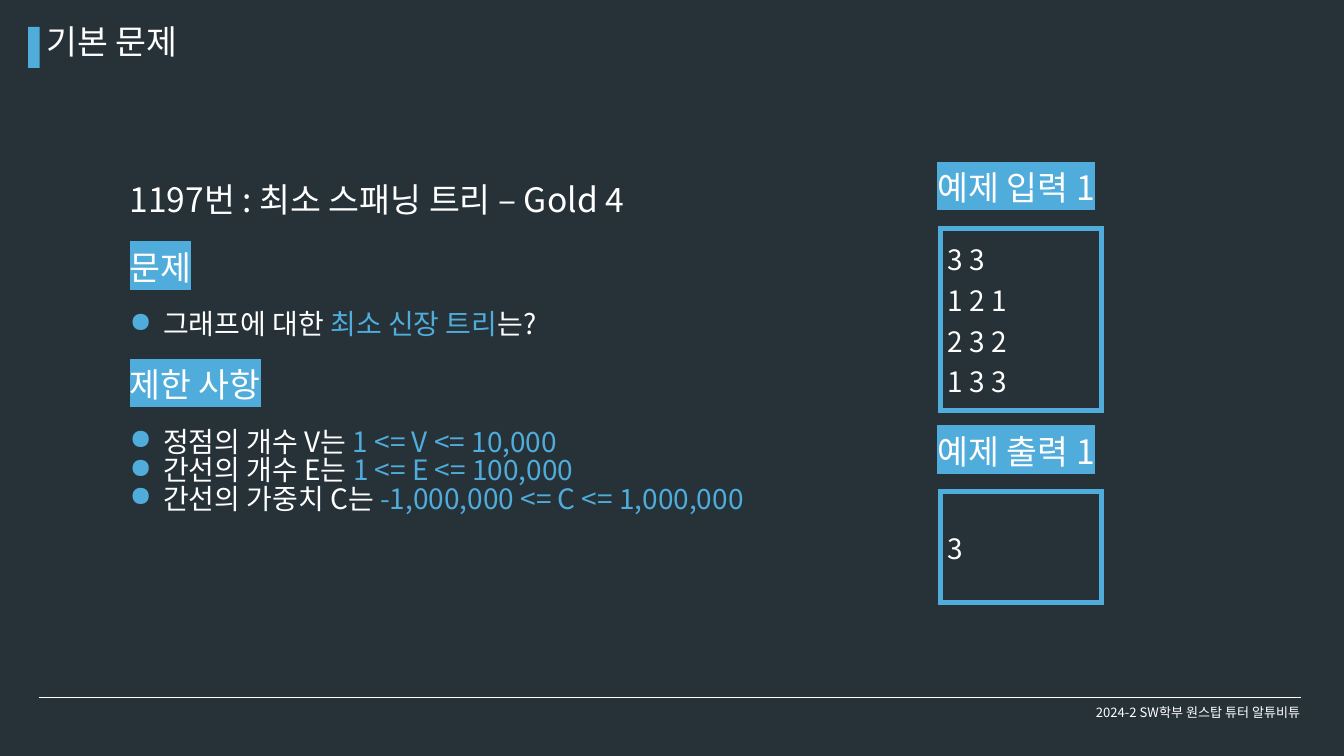
from dataclasses import dataclass

from lxml.etree import SubElement
from pptx import Presentation
from pptx.dml.color import RGBColor
from pptx.enum.shapes import MSO_CONNECTOR, MSO_SHAPE
from pptx.enum.text import MSO_ANCHOR, MSO_AUTO_SIZE, PP_ALIGN
from pptx.oxml.ns import qn
from pptx.util import Inches, Pt


@dataclass(frozen=True)
class Theme:
    font: str = "Noto Sans CJK KR"
    background: str = "263238"
    accent: str = "4FACDB"
    text: str = "FFFFFF"
    heading: int = 36
    body: int = 30
    footer: int = 14
    line_spacing: float = 0.85
    frame_width: int = 6


THEME = Theme()


def rgb(value):
    return RGBColor.from_string(value)


def add_color(parent, value):
    SubElement(parent, qn("a:srgbClr"), val=value)


def add_bullet(para):
    props = para._p.get_or_add_pPr()
    props.set("marL", str(Inches(0.5)))
    props.set("indent", str(Inches(-0.5)))
    add_color(SubElement(props, qn("a:buClr")), THEME.accent)
    SubElement(props, qn("a:buChar"), char="●")


def write_para(para, spans, size, bullet=False, highlight=False, spacing=None):
    """Fill a paragraph with (text, colour) spans."""
    if spacing:
        para.line_spacing = spacing
    if bullet:
        add_bullet(para)
    para.font.size = Pt(size)
    para.font.name = THEME.font
    SubElement(para.font._element, qn("a:ea"), typeface=THEME.font)
    for text, color in spans:
        span = para.add_run()
        span.text = text
        span.font.color.rgb = rgb(color)
        if highlight:
            add_color(SubElement(span.font._element, qn("a:highlight")), THEME.accent)


def fill_frame(frame, lines, size, **style):
    frame.word_wrap = True
    for index, spans in enumerate(lines):
        para = frame.add_paragraph() if index else frame.paragraphs[0]
        write_para(para, spans, size, **style)


def add_text(page, left, top, width, height, lines, size, **style):
    box = page.shapes.add_textbox(Inches(left), Inches(top), Inches(width), Inches(height))
    fill_frame(box.text_frame, lines, size, spacing=THEME.line_spacing, **style)
    box.text_frame.auto_size = MSO_AUTO_SIZE.SHAPE_TO_FIT_TEXT


def add_heading(page, left, top, width, text, highlight=True):
    add_text(page, left, top, width, 0.71, [[(text, THEME.text)]],
             THEME.heading, highlight=highlight)


def add_header(page, left, top, text):
    """Accent bar and slide title."""
    bar = page.shapes.add_shape(MSO_SHAPE.RECTANGLE, Inches(left), Inches(top),
                                Inches(0.17), Inches(0.61))
    bar.shadow.inherit = False
    bar.fill.solid()
    bar.fill.fore_color.rgb = rgb(THEME.accent)
    bar.line.fill.background()

    title = page.shapes.title
    title.left, title.top = Inches(left + 0.17), Inches(top - 0.05)
    title.width, title.height = Inches(9.5), Inches(0.71)
    frame = title.text_frame
    frame.vertical_anchor = MSO_ANCHOR.TOP
    frame.paragraphs[0].alignment = PP_ALIGN.LEFT
    fill_frame(frame, [[(text, THEME.text)]], THEME.heading, spacing=THEME.line_spacing)
    frame.auto_size = MSO_AUTO_SIZE.SHAPE_TO_FIT_TEXT


def add_footer(page, left, top, width, text):
    """Rule with the course name below its right end."""
    rule = page.shapes.add_connector(MSO_CONNECTOR.STRAIGHT, Inches(left), Inches(top),
                                     Inches(left + width), Inches(top))
    rule.line.color.rgb = rgb(THEME.text)
    rule.line.width = Pt(0.75)
    SubElement(rule._element.spPr, qn("a:effectLst"))

    box = page.shapes.add_textbox(Inches(15.83), Inches(top - 0.07), Inches(4), Inches(0.57))
    box.text_frame.vertical_anchor = MSO_ANCHOR.MIDDLE
    box.text_frame.paragraphs[0].alignment = PP_ALIGN.CENTER
    fill_frame(box.text_frame, [[(text, THEME.text)]], THEME.footer)


def add_problem(page, left, top, name, sections):
    """Problem name, then highlighted headings with bullet lists."""
    add_heading(page, left, top, 9.5, name, highlight=False)
    section_top = top + 1
    for heading, bullets in sections:
        add_heading(page, left, section_top, 3.58, heading)
        add_text(page, left, section_top + 0.88, 15.42, 0.11 + 0.5 * len(bullets),
                 bullets, THEME.body, bullet=True)
        section_top += 1.75


def add_example(page, left, top, heading, height, values):
    """Highlighted heading above a framed one-cell table."""
    add_heading(page, left, top, 3.58, heading)
    table_frame = page.shapes.add_table(1, 1, Inches(left + 0.15), Inches(top + 0.87),
                                        Inches(2.39), Inches(height))
    table = table_frame.table
    table.first_row = table.horz_banding = False
    cell = table.cell(0, 0)
    cell.vertical_anchor = MSO_ANCHOR.MIDDLE
    fill_frame(cell.text_frame, [[(value, THEME.text)] for value in values], THEME.body)
    props = cell._tc.get_or_add_tcPr()
    for side in ("lnL", "lnR", "lnT", "lnB"):
        border = SubElement(props, qn(f"a:{side}"), w=str(Pt(THEME.frame_width)))
        add_color(SubElement(border, qn("a:solidFill")), THEME.accent)
    cell.fill.background()


def main():
    deck = Presentation()
    deck.slide_width, deck.slide_height = Inches(20), Inches(11.25)
    page = deck.slides.add_slide(deck.slide_layouts[5])
    page.background.fill.solid()
    page.background.fill.fore_color.rgb = rgb(THEME.background)

    add_footer(page, 0.58, 10.38, 18.78, "2024-2 SW학부 원스탑 튜터 알튜비튜")
    add_header(page, 0.42, 0.4, "기본 문제")

    plain, accent = THEME.text, THEME.accent
    limits = [
        ("정점의 개수 V는 ", "1 <= V <= 10,000"),
        ("간선의 개수 E는 ", "1 <= E <= 100,000"),
        ("간선의 가중치 C는 ", "-1,000,000 <= C <= 1,000,000"),
    ]
    add_problem(page, 1.83, 2.71, "1197번 : 최소 스패닝 트리 – Gold 4", [
        ("문제", [[("그래프에 대한 ", plain), ("최소 신장 트리", accent), ("는?", plain)]]),
        ("제한 사항", [[(label, plain), (limit, accent)] for label, limit in limits]),
    ])

    add_example(page, 13.85, 2.53, "예제 입력 1", 2.71, ["3 3", "1 2 1", "2 3 2", "1 3 3"])
    add_example(page, 13.85, 6.45, "예제 출력 1", 1.64, ["3"])

    deck.save("out.pptx")


if __name__ == "__main__":
    main()
